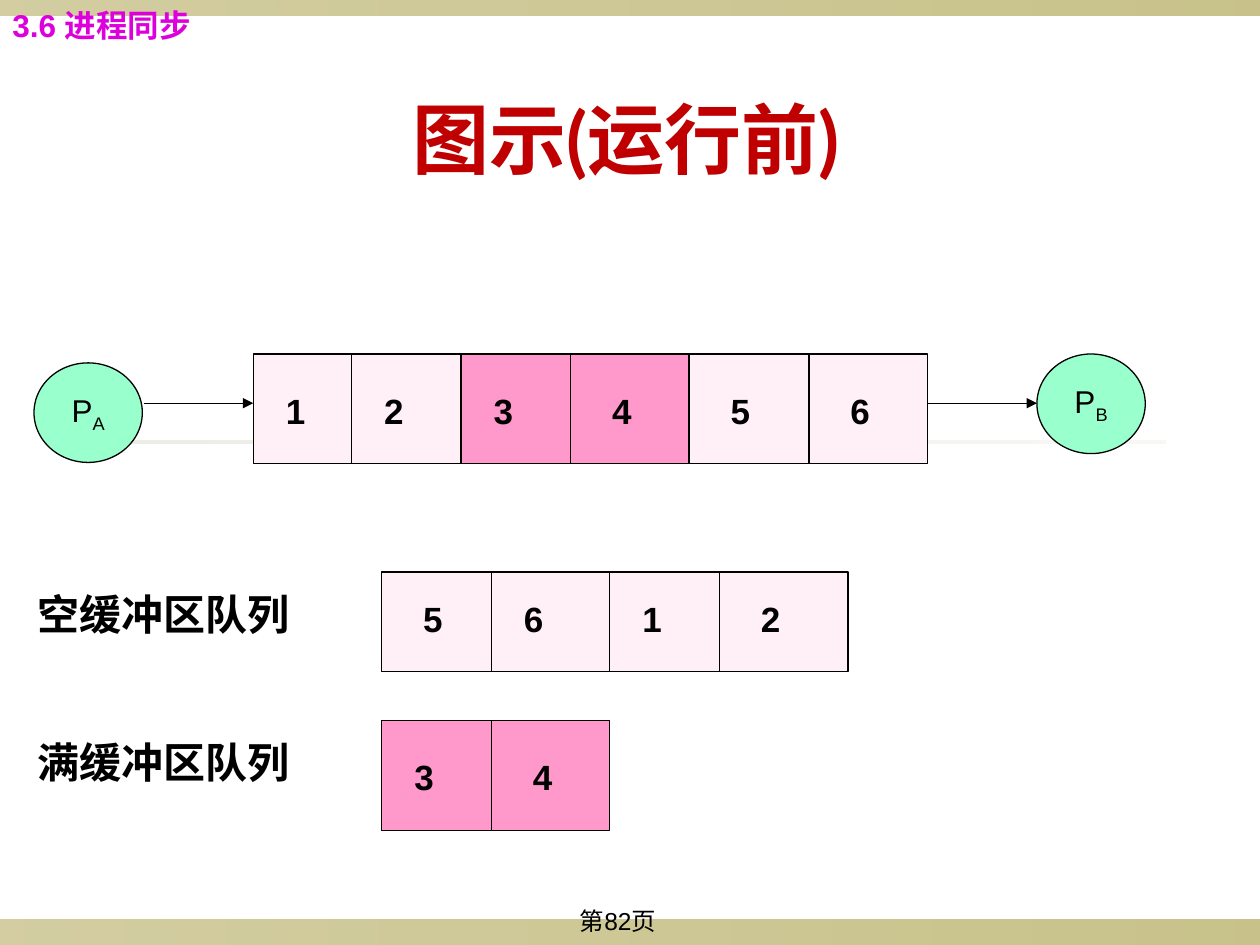
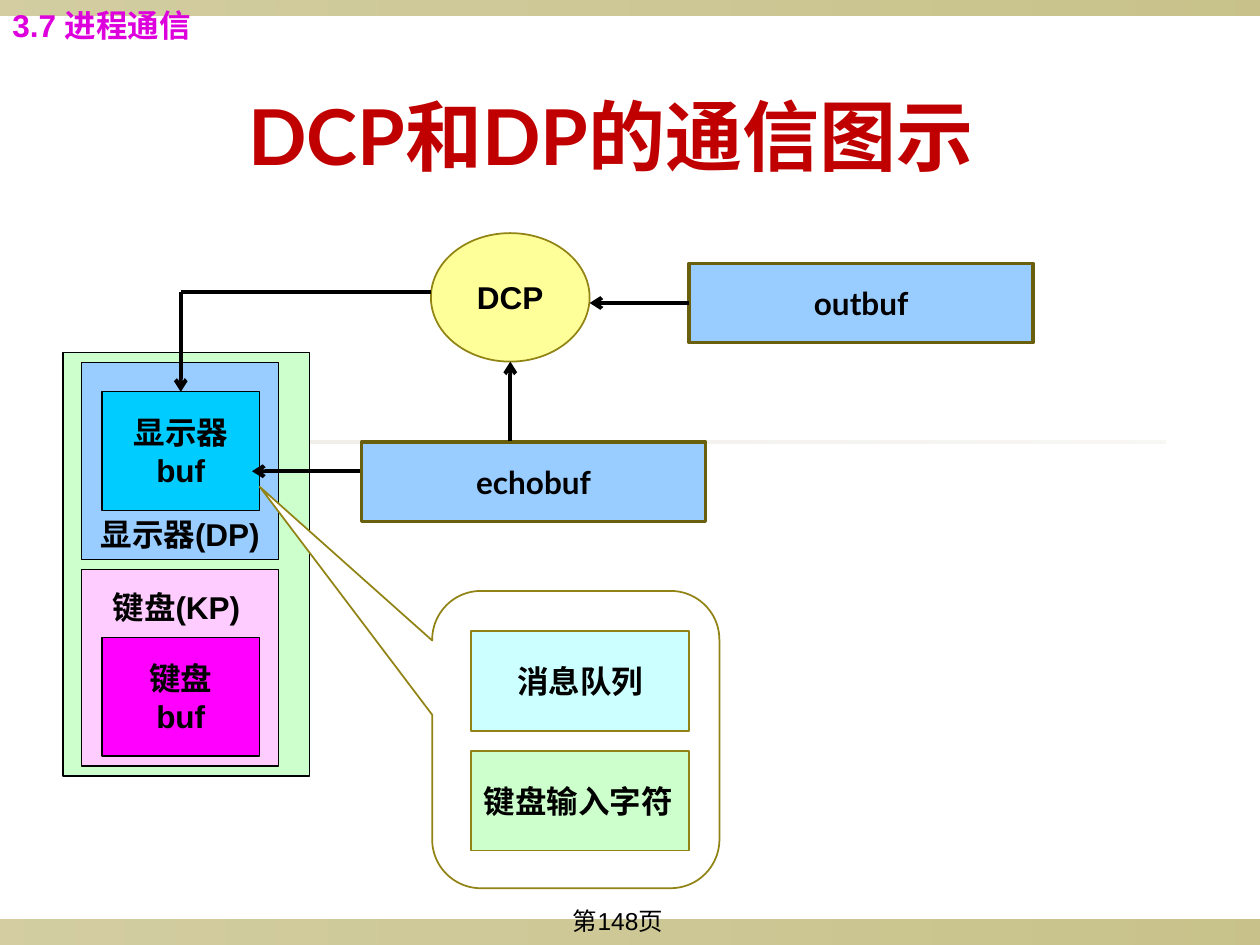
from pptx import Presentation
from pptx.dml.color import RGBColor
from pptx.enum.shapes import MSO_CONNECTOR, MSO_SHAPE
from pptx.enum.text import MSO_ANCHOR, PP_ALIGN
from pptx.oxml.ns import qn
from pptx.util import Inches, Pt
from lxml import etree

RECT, OVAL = MSO_SHAPE.RECTANGLE, MSO_SHAPE.OVAL
CALLOUT = MSO_SHAPE.ROUNDED_RECTANGULAR_CALLOUT
STRAIGHT = MSO_CONNECTOR.STRAIGHT
TOP, MIDDLE, BOTTOM = MSO_ANCHOR.TOP, MSO_ANCHOR.MIDDLE, MSO_ANCHOR.BOTTOM
LEFT, CENTER, JUSTIFY = PP_ALIGN.LEFT, PP_ALIGN.CENTER, PP_ALIGN.JUSTIFY

BLACK = RGBColor(0, 0, 0)
WHITE = RGBColor(255, 255, 255)
RED = RGBColor(0xC0, 0, 0)
PURPLE = RGBColor(0xDD, 0, 0xDD)
OLIVE = RGBColor(0x91, 0x84, 0x15)
BROWN = RGBColor(0x69, 0x5F, 0x0C)
GREY = RGBColor(0xDC, 0xD9, 0xCC)
PALE = RGBColor(0xFF, 0xEF, 0xF7)
PINK = RGBColor(0xFF, 0x99, 0xCC)
MINT = RGBColor(0x99, 0xFF, 0xCC)
GREEN = RGBColor(0xCC, 0xFF, 0xCC)
BLUE = RGBColor(0x99, 0xCC, 0xFF)
CYAN = RGBColor(0, 0xCC, 0xFF)
ICE = RGBColor(0xCC, 0xFF, 0xFF)
LILAC = RGBColor(0xFF, 0xCC, 0xFF)
MAGENTA = RGBColor(0xFF, 0, 0xFF)
YELLOW = RGBColor(0xFF, 0xFF, 0x99)

BANDS = [
    ((0, 7.3, 10, 0.2), OLIVE, (40, 50)),
    ((0, 0, 10, 0.12), OLIVE, (40, 50)),
    ((0.75, 3.5, 8.5, 0.02), GREY, (50, 20)),
]

NEAR, FAR = 0.16, 0.23
QUEUES = [
    dict(top=2.81, high=0.87, drop=0.23, full="34",
         edges=[2.01, 2.79, 3.66, 4.53, 5.47, 6.42, 7.36],
         nums=[("1", NEAR), ("2", NEAR), ("3", NEAR),
               ("4", FAR), ("5", FAR), ("6", FAR)]),
    dict(top=4.54, high=0.79, drop=0.15, full="",
         edges=[3.03, 3.9, 4.84, 5.71, 6.73],
         nums=[("5", FAR), ("6", NEAR), ("1", NEAR), ("2", FAR)]),
    dict(top=5.72, high=0.87, drop=0.23, full="34",
         edges=[3.03, 3.9, 4.84],
         nums=[("3", NEAR), ("4", FAR)]),
]
NAMES = [("空缓冲区队列", 4.62), ("满缓冲区队列", 5.8)]
NODES = [("A", 0.27, 2.88), ("B", 8.23, 2.81)]
FLOWS = [(1.14, 2.01), (7.36, 8.23)]

SCREEN = (0.81, 3.11, 1.25, 0.94)
OUTBUF = (5.47, 2.09, 2.73, 0.63)
PANELS = [
    ((0.5, 2.8, 1.96, 3.36), GREEN, "", MIDDLE),
    ((0.65, 2.88, 1.56, 1.56), BLUE, "显示器(DP)", BOTTOM),
    (SCREEN, CYAN, "显示器\nbuf", MIDDLE),
    ((0.65, 4.52, 1.56, 1.56), LILAC, "", MIDDLE),
    ((0.81, 5.06, 1.25, 0.94), MAGENTA, "键盘\nbuf", MIDDLE),
]
PARTS = [
    ("消息队列", 5.01, ICE, CENTER),
    ("键盘输入字符", 5.96, GREEN, JUSTIFY),
]


def write(shape, text, size=18, color=BLACK, font="Arial", bold=True,
          align=CENTER, anchor=MIDDLE, wrap=False):
    frame = shape.text_frame
    frame.word_wrap = wrap
    frame.vertical_anchor = anchor
    for i, line in enumerate(text.split("\n")):
        para = frame.paragraphs[0] if i == 0 else frame.add_paragraph()
        para.alignment = align
        add_run(para, line, size, color, font, bold)


def add_run(para, text, size, color=BLACK, font="Arial", bold=False):
    run = para.add_run()
    run.text = text
    run.font.size = Pt(size)
    run.font.color.rgb = color
    run.font.name = font
    run.font.bold = bold
    return run


def add_text(slide, box, text, **style):
    shape = slide.shapes.add_textbox(*map(Inches, box))
    write(shape, text, **style)


def add_box(slide, box, fill, line=BLACK, width=0.75, kind=RECT):
    shape = slide.shapes.add_shape(kind, *map(Inches, box))
    shape.shadow.inherit = False
    shape.fill.solid()
    shape.fill.fore_color.rgb = fill
    shape.line.color.rgb = line
    shape.line.width = Pt(width)
    return shape


def add_line(slide, start, end, width=0.75, head=None):
    line = slide.shapes.add_connector(STRAIGHT, *map(Inches, start + end))
    line.line.color.rgb = BLACK
    line.line.width = Pt(width)
    props = line._element.spPr
    if head:
        etree.SubElement(props.find(qn("a:ln")), qn("a:tailEnd"), type=head)
    etree.SubElement(props, qn("a:effectLst"))
    return line


def add_band(slide, box, color, alphas):
    band = slide.shapes.add_shape(RECT, *map(Inches, box))
    band.shadow.inherit = False
    band.fill.gradient()
    band.fill.gradient_angle = 0
    for stop, place in zip(band.fill.gradient_stops, (0, 1)):
        stop.color.rgb = color
        stop.position = place
    tints = band._element.spPr.iter(qn("a:srgbClr"))
    for tint, alpha in zip(list(tints), alphas):
        etree.SubElement(tint, qn("a:alpha"), val=str(alpha * 1000))
    band.line.fill.background()


def add_base(deck, title, left, top, page):
    slide = deck.slides.add_slide(deck.slide_layouts[6])
    for band in BANDS:
        add_band(slide, *band)
    add_text(slide, (3.74, 7.14, 2.33, 0.36), f"第{page}页", size=14,
             bold=False, anchor=TOP, wrap=True)
    add_text(slide, (left, top, 9, 1.25), title, size=44, color=RED,
             font="Lato", wrap=True)
    return slide


def add_topic(slide, text):
    add_text(slide, (0, 0, 1.93, 0.4), text, color=PURPLE, align=LEFT,
             anchor=TOP, wrap=True)


def add_queue(slide, top, high, drop, full, edges, nums):
    cells = list(zip(edges, edges[1:], nums))
    solid = all(num in full for num, _ in nums)
    if not solid:
        add_box(slide, (edges[0], top, edges[-1] - edges[0], high), PALE)
    for x in edges if solid else edges[1:-1]:
        add_line(slide, (x, top), (x, top + high))
    for x, end, (num, _) in cells:
        if num in full:
            add_box(slide, (x, top, end - x, high), PINK)
    for x, _, (num, gap) in cells:
        add_text(slide, (x + gap, top + drop, 0.55, 0.44), num, size=20,
                 align=JUSTIFY, anchor=TOP, wrap=True)


def draw_queues(deck):
    slide = add_base(deck, "图示(运行前)", 0.47, 0.47, 82)
    for queue in QUEUES:
        add_queue(slide, **queue)
    for name, y in NAMES:
        add_text(slide, (0.2, y, 2.28, 0.5), name, size=24, align=JUSTIFY,
                 anchor=TOP, wrap=True)
    for sub, x, y in NODES:
        node = add_box(slide, (x, y, 0.86, 0.79), MINT, kind=OVAL)
        write(node, "P", bold=False)
        run = add_run(node.text_frame.paragraphs[0], sub, 18)
        run.font._element.set("baseline", "-25000")
    for start, end in FLOWS:
        add_line(slide, (start, 3.2), (end, 3.2), head="triangle")
    add_topic(slide, "3.6 进程同步")


def draw_comms(deck):
    slide = add_base(deck, "DCP和DP的通信图示", 0.35, 0.44, 148)
    echo = add_box(slide, (2.87, 3.51, 2.73, 0.63), BLUE, BROWN, 2)
    write(echo, "echobuf", font="Lato", wrap=True)
    panels = {}
    for box, fill, text, anchor in PANELS:
        panels[box] = add_box(slide, box, fill)
        if text:
            write(panels[box], text, anchor=anchor)
    add_text(slide, (0.65, 4.59, 1.5, 0.45), "键盘(KP)")
    add_line(slide, (2.86, 3.74), (2, 3.74), 2.25, "arrow")
    hub = add_box(slide, (3.42, 1.85, 1.26, 1.02), YELLOW, OLIVE, 1, OVAL)
    write(hub, "DCP")
    out = add_box(slide, OUTBUF, BLUE, BROWN, 2)
    write(out, "outbuf", font="Lato", wrap=True)

    level = OUTBUF[1] + OUTBUF[3] / 2
    feed = add_line(slide, (OUTBUF[0], level), (4.68, level), 2.25, "arrow")
    feed.begin_connect(out, 1)
    bend = (SCREEN[0] + SCREEN[2] / 2, 2.32)
    add_line(slide, (3.42, 2.32), bend, 2.25)
    fall = add_line(slide, bend, (bend[0], SCREEN[1]), 2.25, "arrow")
    fall.end_connect(panels[SCREEN], 0)
    add_line(slide, (4.05, 3.5), (4.05, 2.87), 2.25, "arrow")
    add_topic(slide, "3.7 进程通信")

    note = add_box(slide, (3.43, 4.69, 2.28, 2.36), WHITE, OLIVE, 1, CALLOUT)
    for i, value in enumerate((-1.1, -0.85, 0.17)):
        note.adjustments[i] = value
    for text, y, fill, align in PARTS:
        part = add_box(slide, (3.74, y, 1.73, 0.79), fill, OLIVE, 1)
        write(part, text, align=align)


def main():
    deck = Presentation()
    deck.slide_width, deck.slide_height = Inches(10), Inches(7.5)
    draw_queues(deck)
    draw_comms(deck)
    deck.save("out.pptx")


if __name__ == "__main__":
    main()
